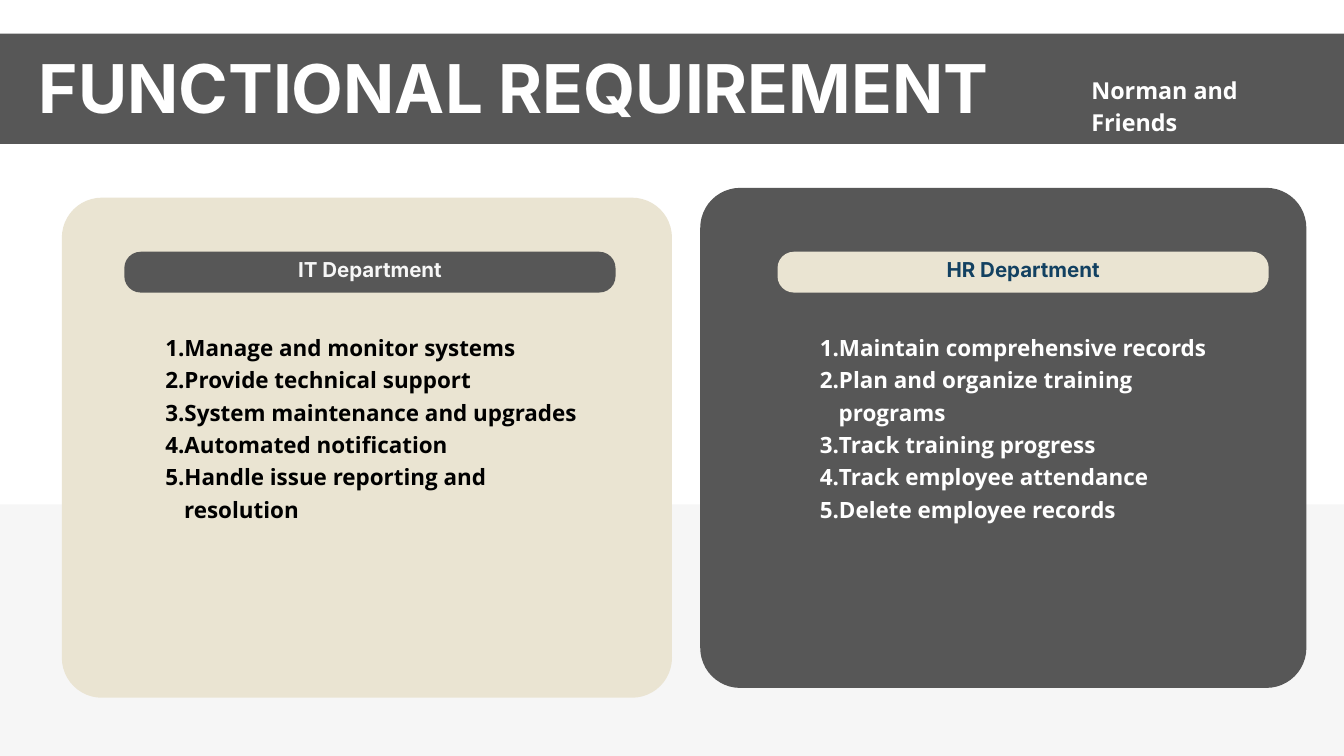
"""Build the functional requirement slide with one card per department."""
import lxml.etree
import pptx
import pptx.dml.color
import pptx.enum.shapes
import pptx.enum.text
import pptx.oxml.ns
import pptx.util

RGB = pptx.dml.color.RGBColor
GREY = RGB(0x57, 0x57, 0x57)
CREAM = RGB(0xEA, 0xE4, 0xD2)
PALE = RGB(0xF6, 0xF6, 0xF6)
WHITE = RGB(0xFF, 0xFF, 0xFF)
BLACK = RGB(0x00, 0x00, 0x00)
NAVY = RGB(0x13, 0x41, 0x61)

RECT = pptx.enum.shapes.MSO_SHAPE.RECTANGLE
ROUND = pptx.enum.shapes.MSO_SHAPE.ROUNDED_RECTANGLE

prs = pptx.Presentation()
prs.slide_width = pptx.util.Inches(20)
prs.slide_height = pptx.util.Inches(11.25)
COL = prs.slide_width / 100
ROW = prs.slide_height / 100
s = prs.slides.add_slide(prs.slide_layouts[6])


def add_block(kind, x, y, w, h, color, radius=None):
    sp = s.shapes.add_shape(kind, int(x * COL), int(y * ROW), int(w * COL), int(h * ROW))
    sp.shadow.inherit = False
    sp.fill.solid()
    sp.fill.fore_color.rgb = color
    sp.line.fill.background()
    if radius is not None:
        sp.adjustments[0] = radius


def add_text(x, y, w, h, lines, font, size, color, spacing, numbered=False, centred=False):
    tf = s.shapes.add_textbox(int(x * COL), int(y * ROW), int(w * COL), int(h * ROW)).text_frame
    tf.word_wrap = True
    inset = pptx.util.Inches(0.06 if centred else 0)
    tf.margin_left = tf.margin_right = tf.margin_top = tf.margin_bottom = inset
    if centred:
        tf.vertical_anchor = pptx.enum.text.MSO_ANCHOR.MIDDLE
    for i, line in enumerate(lines):
        p = tf.add_paragraph() if i else tf.paragraphs[0]
        p.line_spacing = pptx.util.Pt(spacing)
        if centred:
            p.alignment = pptx.enum.text.PP_ALIGN.CENTER
        if numbered:
            p.level = 1
            pPr = p._p.get_or_add_pPr()
            pPr.set("marL", str(int(2.85 * COL)))
            pPr.set("indent", str(int(-1.4 * COL)))
            bu = lxml.etree.SubElement(pPr, pptx.oxml.ns.qn("a:buAutoNum"))
            bu.set("type", "arabicPeriod")
        r = p.add_run()
        r.text = line
        r.font.name = font
        r.font.size = pptx.util.Pt(size)
        r.font.bold = True
        r.font.color.rgb = color


add_block(RECT, 0, 66.7, 100, 33.3, PALE)
add_block(RECT, 0, 4.45, 100, 14.6, GREY)
add_text(2.9, 7.4, 71.8, 9.7, ["FUNCTIONAL REQUIREMENT"], "Inter", 72, WHITE, 75.6)
add_text(81.2, 9.4, 17.45, 4.1, ["Norman and Friends"], "Open Sans", 25, WHITE, 35)

departments = [
    ("IT Department", (4.6, 26.15, 45.4), CREAM, 9.25, GREY, PALE, (10.85, 33.9), BLACK,
     ["Manage and monitor systems", "Provide technical support",
      "System maintenance and upgrades", "Automated notification",
      "Handle issue reporting and resolution"]),
    ("HR Department", (52.1, 24.85, 45.1), GREY, 57.85, CREAM, NAVY, (59.55, 32.95), WHITE,
     ["Maintain comprehensive records", "Plan and organize training programs",
      "Track training progress", "Track employee attendance",
      "Delete employee records"]),
]

for name, card, card_color, pill_x, pill_color, name_color, body, body_color, tasks in departments:
    add_block(ROUND, *card, 66.15, card_color, 0.08)
    add_block(ROUND, pill_x, 33.3, 36.55, 5.4, pill_color, 0.4)
    add_text(pill_x, 31.9, 36.55, 6.8, [name], "Inter", 22, name_color, 30.8, centred=True)
    add_text(body[0], 43.4, body[1], 21, tasks, "Open Sans", 24, body_color, 34.8, numbered=True)

prs.save("out.pptx")
